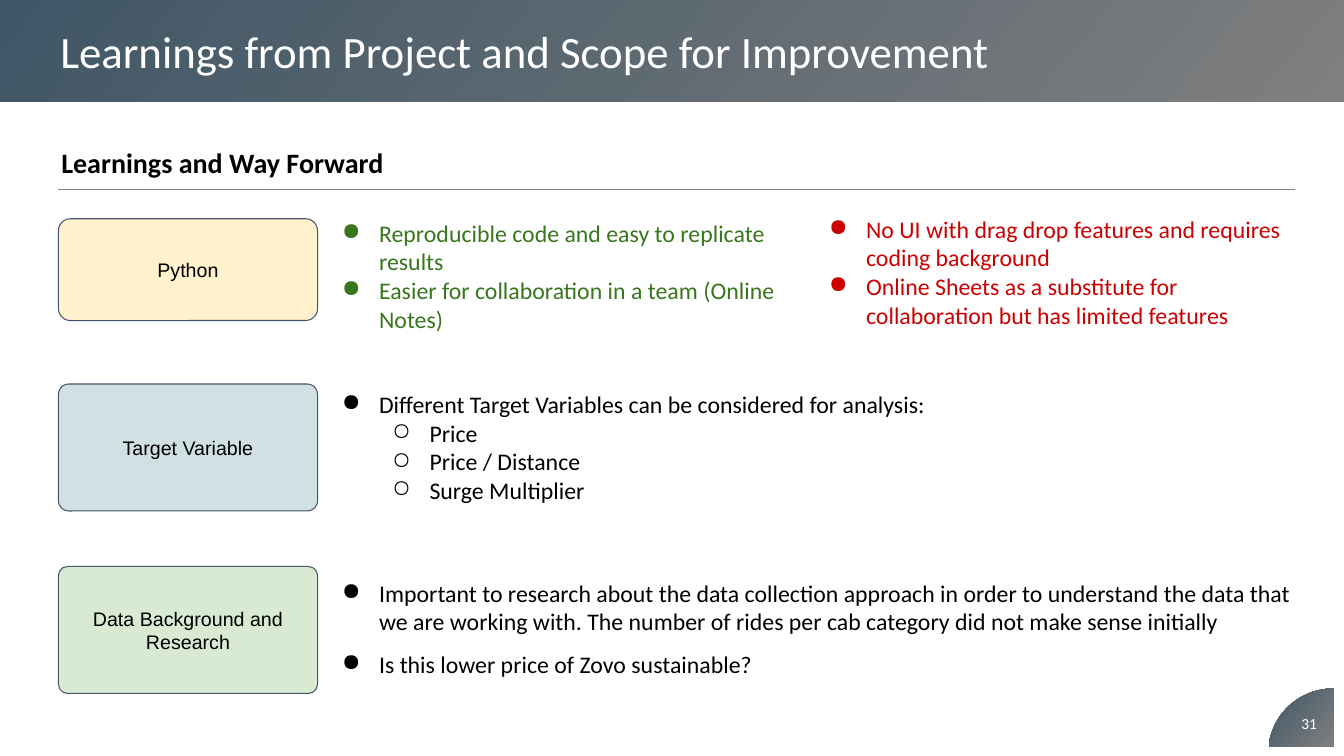
from dataclasses import dataclass

from lxml.etree import SubElement
from pptx import Presentation
from pptx.dml.color import RGBColor
from pptx.enum.shapes import MSO_CONNECTOR, MSO_SHAPE
from pptx.enum.text import MSO_ANCHOR, PP_ALIGN
from pptx.oxml.ns import qn
from pptx.util import Inches, Pt


@dataclass(frozen=True)
class Theme:
    body_font: str = "Calibri"
    label_font: str = "Arial"
    title_size: int = 32
    heading_size: int = 20
    body_size: int = 17
    label_size: int = 14
    number_size: int = 11
    white: str = "FFFFFF"
    black: str = "000000"
    slate: str = "405666"
    gray: str = "7F7F7F"
    outline: str = "44546A"
    yellow: str = "FFF2CC"
    blue: str = "D0E0E3"
    green: str = "D9EAD3"
    positive: str = "38761D"
    negative: str = "CC0000"


def color(value):
    return RGBColor.from_string(value)


def apply(target, values):
    for name, value in values.items():
        setattr(target, name, value)


class SlideBuilder:
    def __init__(self, slide, theme):
        self.shapes = slide.shapes
        self.theme = theme

    def frame(self, shape, inset_x=0.1, inset_y=0.05, anchor=MSO_ANCHOR.MIDDLE):
        text_frame = shape.text_frame
        apply(text_frame, {
            "word_wrap": True,
            "vertical_anchor": anchor,
            "margin_left": Inches(inset_x),
            "margin_right": Inches(inset_x),
            "margin_top": Inches(inset_y),
            "margin_bottom": Inches(inset_y),
        })
        return text_frame

    def add_text(self, paragraph, text, size, text_color, font=None, bold=False,
                 align=PP_ALIGN.LEFT):
        paragraph.alignment = align
        run = paragraph.add_run()
        run.text = text
        apply(run.font, {"name": font or self.theme.body_font,
                         "size": Pt(size), "bold": bold})
        run.font.color.rgb = color(text_color)

    def text_box(self, box, text, size, text_color, anchor=MSO_ANCHOR.MIDDLE, **style):
        shape = self.shapes.add_textbox(*map(Inches, box))
        paragraph = self.frame(shape, anchor=anchor).paragraphs[0]
        self.add_text(paragraph, text, size, text_color, **style)

    def gradient(self, shape):
        """Fill with the diagonal slate-to-gray blend, without outline or shadow."""
        shape.shadow.inherit = False
        shape.line.fill.background()
        shape.fill.gradient()
        shape.fill.gradient_angle = 320
        for stop, value in zip(shape.fill.gradient_stops,
                               (self.theme.slate, self.theme.gray)):
            stop.color.rgb = color(value)

    def title_bar(self, text):
        bar = self.shapes.add_shape(MSO_SHAPE.RECTANGLE, 0, 0,
                                    Inches(13.33), Inches(1.01))
        self.gradient(bar)
        paragraph = self.frame(bar).paragraphs[0]
        properties = paragraph._p.get_or_add_pPr()
        properties.set("marL", "0")
        properties.set("indent", str(Inches(0.5)))
        self.add_text(paragraph, text, self.theme.title_size, self.theme.white)

    def corner(self, number):
        """Draw the curved corner along a cubic curve, with the slide number."""
        curve = ((12.59, 7.35), (12.65, 7.05), (12.91, 6.83), (13.23, 6.83))
        steps = 30
        points = []
        for step in range(steps + 1):
            t = step / steps
            weights = ((1 - t) ** 3, 3 * t * (1 - t) ** 2, 3 * t * t * (1 - t), t ** 3)
            points.append(tuple(
                Inches(sum(w * point[axis] for w, point in zip(weights, curve)))
                for axis in (0, 1)))
        points += [(Inches(13.23), Inches(7.41)), (Inches(12.59), Inches(7.41))]
        builder = self.shapes.build_freeform(*points[0], scale=1.0)
        builder.add_line_segments(points[1:], close=True)
        self.gradient(builder.convert_to_shape())
        self.text_box((12.77, 6.98, 0.43, 0.4), number, self.theme.number_size,
                      self.theme.white, align=PP_ALIGN.CENTER)

    def rule(self, left, right, y):
        line = self.shapes.add_connector(MSO_CONNECTOR.STRAIGHT, Inches(left),
                                         Inches(y), Inches(right), Inches(y))
        line.line.color.rgb = color(self.theme.gray)
        line.line.width = Pt(0.75)
        SubElement(line._element.spPr, qn("a:effectLst"))

    def label(self, text, top, height, fill, rounding):
        shape = self.shapes.add_shape(MSO_SHAPE.ROUNDED_RECTANGLE, Inches(0.58),
                                      Inches(top), Inches(2.57), Inches(height))
        shape.adjustments[0] = rounding
        shape.shadow.inherit = False
        shape.fill.solid()
        shape.fill.fore_color.rgb = color(fill)
        shape.line.color.rgb = color(self.theme.outline)
        shape.line.width = Pt(0.75)
        self.add_text(self.frame(shape, inset_y=0.1).paragraphs[0], text,
                      self.theme.label_size, self.theme.black,
                      font=self.theme.label_font, align=PP_ALIGN.CENTER)

    def bullets(self, left, top, width, items, text_color, gap=0):
        """Add (level, text) items; gap is the space before later items."""
        shape = self.shapes.add_textbox(Inches(left), Inches(top),
                                        Inches(width), Inches(1.01))
        text_frame = self.frame(shape, inset_x=0, inset_y=0)
        for index, (level, text) in enumerate(items):
            paragraph = text_frame.add_paragraph() if index else text_frame.paragraphs[0]
            paragraph.level = level
            properties = paragraph._p.get_or_add_pPr()
            properties.set("marL", str(Inches(0.5 * (level + 1))))
            properties.set("indent", str(Inches(-0.37)))
            bullet_color = SubElement(properties, qn("a:buClr"))
            SubElement(bullet_color, qn("a:srgbClr"), val=text_color)
            SubElement(properties, qn("a:buChar"), char="●○"[level])
            paragraph.space_before = Pt(gap if index else 0)
            self.add_text(paragraph, text, self.theme.body_size, text_color)


def main():
    presentation = Presentation()
    presentation.slide_width = Inches(13.33)
    presentation.slide_height = Inches(7.5)
    theme = Theme()
    builder = SlideBuilder(
        presentation.slides.add_slide(presentation.slide_layouts[6]), theme)

    builder.corner("31")
    builder.title_bar("Learnings from Project and Scope for Improvement")
    builder.text_box((0.51, 1.39, 7.33, 0.4), "Learnings and Way Forward",
                     theme.heading_size, theme.black, anchor=MSO_ANCHOR.TOP, bold=True)
    builder.rule(0.58, 12.84, 1.88)

    for label in (
        ("Python", 2.17, 1.01, theme.yellow, 0.117),
        ("Target Variable", 3.81, 1.26, theme.blue, 0.082),
        ("Data Background and Research", 5.62, 1.26, theme.green, 0.072),
    ):
        builder.label(*label)

    builder.bullets(3.26, 2.23, 4.58, [
        (0, "Reproducible code and easy to replicate results"),
        (0, "Easier for collaboration in a team (Online Notes)"),
    ], theme.positive)
    builder.bullets(8.09, 2.19, 4.75, [
        (0, "No UI with drag drop features and requires coding background"),
        (0, "Online Sheets as a substitute for collaboration but has limited features"),
    ], theme.negative)
    builder.bullets(3.26, 3.93, 9.58, [
        (0, "Different Target Variables can be considered for analysis:"),
        (1, "Price"),
        (1, "Price / Distance"),
        (1, "Surge Multiplier"),
    ], theme.black)
    builder.bullets(3.26, 5.73, 9.58, [
        (0, "Important to research about the data collection approach in order to "
            "understand the data that we are working with. The number of rides per "
            "cab category did not make sense initially"),
        (0, "Is this lower price of Zovo sustainable?"),
    ], theme.black, gap=10)

    presentation.save("out.pptx")


if __name__ == "__main__":
    main()
